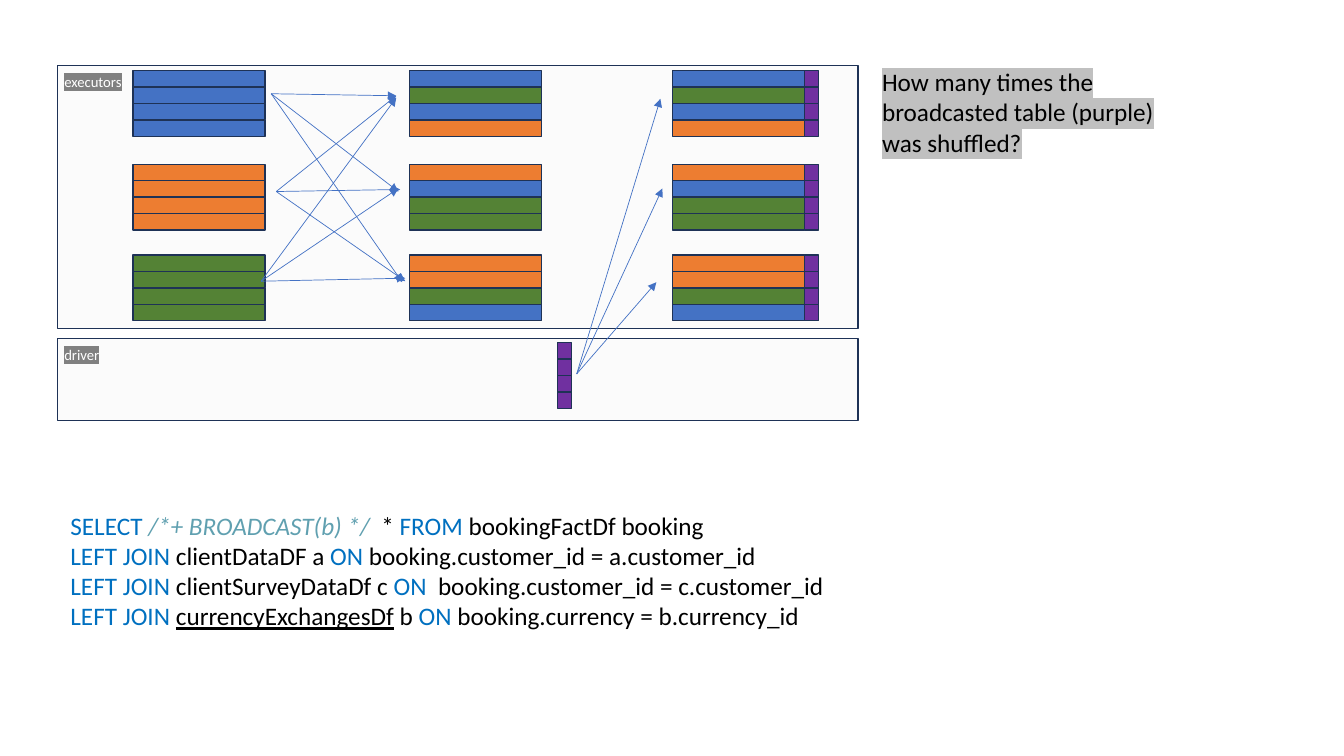
from lxml import etree
from pptx import Presentation, util as u
from pptx.dml.color import RGBColor
from pptx.enum import shapes, text
from pptx.oxml.ns import qn

BLUE = RGBColor(0x44, 0x72, 0xC4)
ORANGE = RGBColor(0xED, 0x7D, 0x31)
GREEN = RGBColor(0x54, 0x82, 0x35)
PURPLE = RGBColor(0x70, 0x30, 0xA0)
NAVY = RGBColor(0x1E, 0x32, 0x56)
PALE = RGBColor(0xE7, 0xE6, 0xE6)
WHITE = RGBColor(0xFF, 0xFF, 0xFF)
BLACK = RGBColor(0, 0, 0)
GREY = RGBColor(0x80, 0x80, 0x80)
SILVER = RGBColor(0xC0, 0xC0, 0xC0)
KEY = RGBColor(0x00, 0x70, 0xC0)
HINT = RGBColor(0x60, 0xA0, 0xB0)

FONT = "Calibri"
ROW, WIDE, SLIM = 0.163, 1.31, 0.14
TOPS = (0.7, 1.63, 2.53)

PANELS = [(0.57, 3.36, 7.94, 0.81), (0.57, 0.65, 7.94, 2.61)]
LABELS = [("driver", (0.54, 3.38, 0.57, 0.29)),
          ("executors", (0.54, 0.67, 0.79, 0.28))]

SOURCE = [[BLUE] * 4, [ORANGE] * 4, [GREEN] * 4]
MIXED = [[BLUE, GREEN, BLUE, ORANGE],
         [ORANGE, BLUE, GREEN, GREEN],
         [ORANGE, ORANGE, GREEN, BLUE]]
SMALL = [PURPLE] * 4
COLUMNS = [(1.32, WIDE, SOURCE), (4.06, WIDE, MIXED),
           (6.67, WIDE, MIXED), (7.98, SLIM, [SMALL] * 3)]
DRIVER = (5.53, 3.4)

ARROWS = {
    (2.69, 0.93): [(3.93, 0.95), (3.95, 1.9), (3.99, 2.8)],
    (2.74, 1.9): [(3.93, 0.95), (3.97, 1.88), (4.02, 2.79)],
    (2.59, 2.79): [(3.93, 0.97), (3.95, 1.87), (4.02, 2.76)],
    (5.72, 3.71): [(6.55, 0.98), (6.57, 1.87), (6.51, 2.8)],
}

QUESTION = "How many times the broadcasted table (purple) was shuffled?"
QUERY = [
    [("SELECT ", KEY), ("/*+ BROADCAST(b) */  ", HINT), ("* ", BLACK),
     ("FROM ", KEY), ("bookingFactDf booking", BLACK)],
    [("LEFT JOIN ", KEY), ("clientDataDF a ", BLACK), ("ON ", KEY),
     ("booking.customer_id = a.customer_id", BLACK)],
    [("LEFT JOIN ", KEY), ("clientSurveyDataDf c ", BLACK), ("ON  ", KEY),
     ("booking.customer_id = c.customer_id", BLACK)],
    [("LEFT JOIN ", KEY), ("currencyExchangesDf", BLACK), (" b ", BLACK),
     ("ON ", KEY), ("booking.currency = b.currency_id", BLACK)],
]
MARKED = "currencyExchangesDf"

prs = Presentation()
prs.slide_width, prs.slide_height = u.Inches(13.33), u.Inches(7.5)
slide = prs.slides.add_slide(prs.slide_layouts[6])


def inches(vals):
    return [u.Inches(v) for v in vals]


def add_rect(at, fill):
    rect = slide.shapes.add_shape(shapes.MSO_SHAPE.RECTANGLE, *inches(at))
    rect.shadow.inherit = False
    rect.fill.solid()
    rect.fill.fore_color.rgb = fill
    rect.line.color.rgb = NAVY
    rect.line.width = u.Pt(1)
    return rect


def add_panel(at):
    rect = add_rect(at, PALE)
    tint = rect.fill._xPr.find(qn("a:solidFill"))[0]
    etree.SubElement(tint, qn("a:alpha")).set("val", "14000")


def add_stack(left, top, width, fills):
    for i, fill in enumerate(fills):
        add_rect((left, top + i * ROW, width, ROW), fill)


def add_arrow(start, end):
    line = slide.shapes.add_connector(
        shapes.MSO_CONNECTOR.STRAIGHT, *inches(start + end))
    line.line.color.rgb = BLUE
    line.line.width = u.Pt(0.5)
    etree.SubElement(line.line._ln, qn("a:tailEnd")).set("type", "triangle")
    etree.SubElement(line._element.spPr, qn("a:effectLst"))


def add_text(at, lines, size, back=None, wrap=True):
    """Write lines of (words, colour) runs, with an optional highlight."""
    frame = slide.shapes.add_textbox(*inches(at)).text_frame
    frame.word_wrap = wrap
    frame.auto_size = text.MSO_AUTO_SIZE.SHAPE_TO_FIT_TEXT
    for i, line in enumerate(lines):
        para = frame.add_paragraph() if i else frame.paragraphs[0]
        para.font.name, para.font.size = FONT, u.Pt(size)
        for words, color in line:
            run = para.add_run()
            run.text = words
            run.font.color.rgb = color
            if color == HINT:
                run.font.italic = True
            if words == MARKED:
                run.font.underline = True
            if back is not None:
                mark = etree.SubElement(run.font._rPr, qn("a:highlight"))
                etree.SubElement(mark, qn("a:srgbClr")).set("val", str(back))


for at in PANELS:
    add_panel(at)
for left, width, stacks in COLUMNS:
    for top, fills in zip(TOPS, stacks):
        add_stack(left, top, width, fills)
add_stack(*DRIVER, SLIM, SMALL)
for start, ends in ARROWS.items():
    for end in ends:
        add_arrow(start, end)
for words, at in LABELS:
    add_text(at, [[(words, WHITE)]], 10.5, GREY, wrap=False)
add_text((8.65, 0.61, 3.31, 1.01), [[(QUESTION, BLACK)]], 18, SILVER)
add_text((0.6, 5.01, 10.37, 1.31), QUERY, 18)

prs.save("out.pptx")
